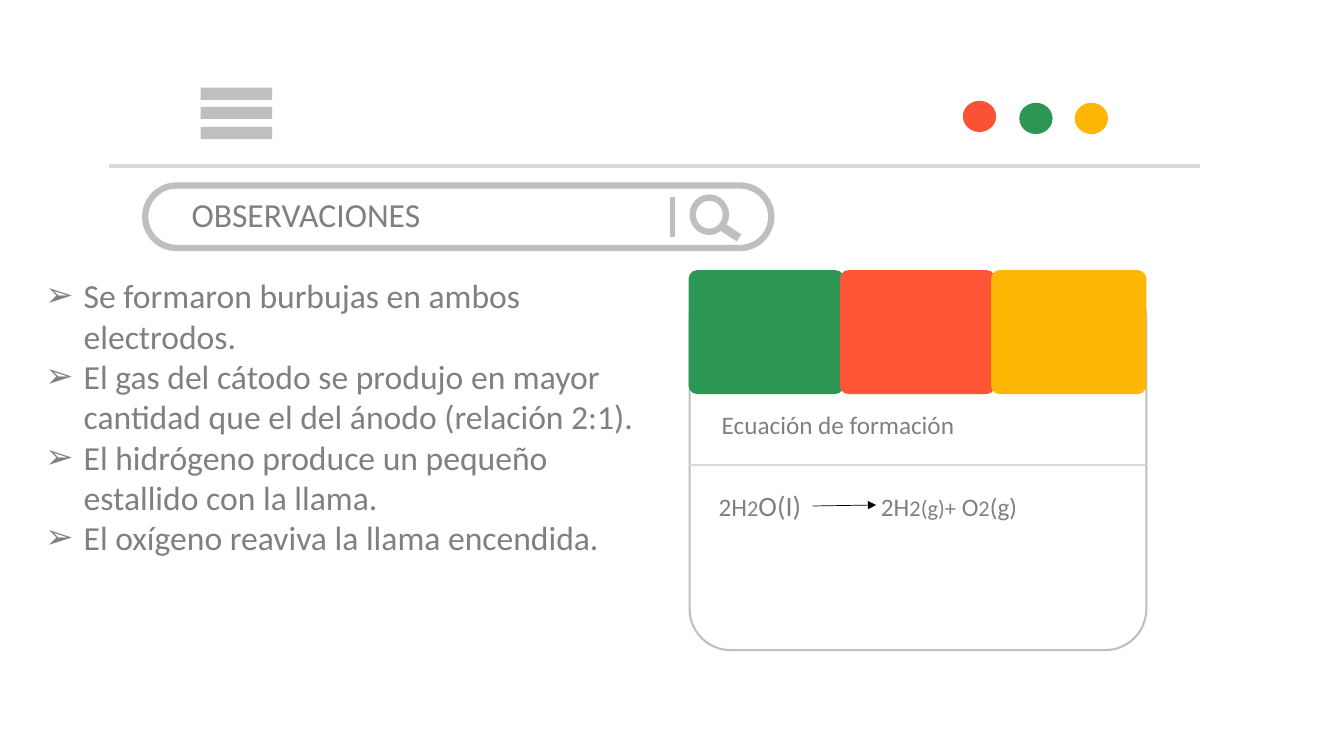
from dataclasses import dataclass
from typing import Optional

import pptx
import pptx.dml.color
import pptx.enum.shapes
import pptx.enum.text
import pptx.oxml
import pptx.oxml.ns
import pptx.util

EMU_PER_PX = 9144
SHAPES = pptx.enum.shapes.MSO_SHAPE


@dataclass(frozen=True)
class Theme:
    font: str = "Calibri"
    text: str = "808080"
    outline: str = "BFBFBF"
    divider: str = "D9D9D9"
    arrow: str = "000000"
    green: str = "2C9754"
    red_dot: str = "FA5235"
    red_tile: str = "FE5536"
    yellow: str = "FEB704"
    heading_size: int = 24
    large_size: int = 20
    label_size: int = 18
    index_size: int = 16


@dataclass(frozen=True)
class Box:
    left: int
    top: int
    width: int
    height: int


@dataclass(frozen=True)
class Figure:
    kind: SHAPES
    box: Box
    fill: Optional[str] = None
    outline: Optional[str] = None
    weight: float = 0
    rounding: Optional[float] = None


@dataclass(frozen=True)
class Stroke:
    start: tuple[int, int]
    end: tuple[int, int]
    color: str
    weight: float
    arrow: bool = False


@dataclass(frozen=True)
class Piece:
    text: str
    size: int


THEME = Theme()

BARS = [Figure(SHAPES.RECTANGLE, Box(199, 87 + 39 * row // 2, 71, 12), THEME.outline)
        for row in range(3)]
DOTS = [Figure(SHAPES.OVAL, Box(left, top, 33, 31), color)
        for left, top, color in ((955, 100, THEME.red_dot),
                                 (1011, 102, THEME.green),
                                 (1066, 102, THEME.yellow))]
SEARCH = [
    Figure(SHAPES.ROUNDED_RECTANGLE, Box(144, 184, 621, 62), None, THEME.outline, 4.5, 0.5),
    Figure(SHAPES.OVAL, Box(687, 196, 33, 34), None, THEME.outline, 4.5),
]
CARD = Figure(SHAPES.ROUNDED_RECTANGLE, Box(684, 275, 453, 370), None, THEME.outline, 1.5, 0.11)
TILES = [Figure(SHAPES.ROUNDED_RECTANGLE, Box(683 + 150 * column, 268, 154, 123), color,
                rounding=0.07)
         for column, color in enumerate((THEME.green, THEME.red_tile, THEME.yellow))]
STROKES = [
    Stroke((108, 165), (1190, 165), THEME.divider, 3),
    Stroke((713, 223), (733, 236), THEME.outline, 6),
    Stroke((667, 195), (667, 235), THEME.outline, 3),
    Stroke((683, 461), (1137, 461), THEME.divider, 1.5),
    Stroke((806, 502), (869, 501), THEME.arrow, 0.5, True),
]
OBSERVATIONS = [
    "Se formaron burbujas en ambos electrodos.",
    "El gas del cátodo se produjo en mayor cantidad que el del ánodo (relación 2:1).",
    "El hidrógeno produce un pequeño estallido con la llama.",
    "El oxígeno reaviva la llama encendida.",
]
EQUATION = [
    Piece("2H", THEME.label_size),
    Piece("2", THEME.index_size),
    Piece("O(I)", THEME.large_size),
    Piece("\t2H", THEME.label_size),
    Piece("2(g)+", THEME.index_size),
    Piece(" O", THEME.label_size),
    Piece("2", THEME.index_size),
    Piece("(g)", THEME.label_size),
]


def px(length: int) -> pptx.util.Emu:
    return pptx.util.Emu(length * EMU_PER_PX)


def rgb(color: str) -> pptx.dml.color.RGBColor:
    return pptx.dml.color.RGBColor.from_string(color)


def xml(tag: str, attributes: str = "", content: str = ""):
    namespace = pptx.oxml.ns.nsdecls("a")
    return pptx.oxml.parse_xml(f"<a:{tag} {namespace} {attributes}>{content}</a:{tag}>")


def draw_figure(slide, figure: Figure) -> None:
    box = figure.box
    shape = slide.shapes.add_shape(figure.kind, px(box.left), px(box.top),
                                   px(box.width), px(box.height))
    shape.shadow.inherit = False
    if figure.rounding is not None:
        shape.adjustments[0] = figure.rounding
    if figure.fill:
        shape.fill.solid()
        shape.fill.fore_color.rgb = rgb(figure.fill)
    else:
        shape.fill.background()
    if figure.outline:
        shape.line.color.rgb = rgb(figure.outline)
        shape.line.width = pptx.util.Pt(figure.weight)
    else:
        shape.line.fill.background()


def draw_stroke(slide, stroke: Stroke) -> None:
    connector = slide.shapes.add_connector(
        pptx.enum.shapes.MSO_CONNECTOR.STRAIGHT,
        *(px(value) for value in stroke.start + stroke.end))
    connector.line.color.rgb = rgb(stroke.color)
    connector.line.width = pptx.util.Pt(stroke.weight)
    properties = connector.element.spPr
    if stroke.arrow:
        line = properties.find(pptx.oxml.ns.qn("a:ln"))
        line.append(xml("tailEnd", 'type="triangle"'))
    properties.append(xml("effectLst"))


def format_run(run, size: int) -> None:
    run.font.name = THEME.font
    run.font.size = pptx.util.Pt(size)
    run.font.color.rgb = rgb(THEME.text)


def format_text(shape, size: int) -> None:
    frame = shape.text_frame
    frame.word_wrap = True
    frame.auto_size = pptx.enum.text.MSO_AUTO_SIZE.NONE
    frame.vertical_anchor = pptx.enum.text.MSO_ANCHOR.TOP
    for paragraph in frame.paragraphs:
        paragraph.alignment = pptx.enum.text.PP_ALIGN.LEFT
        paragraph.space_before = pptx.util.Pt(0)
        for run in paragraph.runs:
            format_run(run, size)


def fill_placeholder(shape, box: Box, text: str) -> None:
    shape.left, shape.top = px(box.left), px(box.top)
    shape.width, shape.height = px(box.width), px(box.height)
    shape.text_frame.text = text
    format_text(shape, THEME.heading_size)


def add_bullets(shape) -> None:
    for paragraph in shape.text_frame.paragraphs:
        properties = paragraph._p.get_or_add_pPr()
        properties.set("marL", str(px(38)))
        properties.set("indent", str(px(-38)))
        properties.append(xml("buChar", 'char="➢"'))


def add_text(slide, box: Box, text: str = ""):
    shape = slide.shapes.add_textbox(px(box.left), px(box.top), px(box.width), px(box.height))
    shape.text_frame.text = text
    format_text(shape, THEME.label_size)
    return shape


def add_equation(slide, box: Box) -> None:
    paragraph = add_text(slide, box).text_frame.paragraphs[0]
    tab = xml("tab", f'pos="{px(161)}" algn="l"')
    tabs = xml("tabLst")
    tabs.append(tab)
    paragraph._p.get_or_add_pPr().append(tabs)
    for piece in EQUATION:
        run = paragraph.add_run()
        run.text = piece.text
        format_run(run, piece.size)


def main() -> None:
    presentation = pptx.Presentation()
    presentation.slide_width, presentation.slide_height = px(1333), px(750)
    slide = presentation.slides.add_slide(presentation.slide_layouts[1])
    fill_placeholder(slide.shapes.title, Box(180, 187, 331, 50), "OBSERVACIONES")
    body = slide.placeholders[1]
    fill_placeholder(body, Box(35, 268, 631, 323), "\n".join(OBSERVATIONS))
    add_bullets(body)
    for figure in BARS + DOTS + SEARCH + [CARD]:
        draw_figure(slide, figure)
    for stroke in STROKES:
        draw_stroke(slide, stroke)
    for tile in TILES:
        draw_figure(slide, tile)
    add_text(slide, Box(706, 401, 481, 40), "Ecuación de formación")
    add_equation(slide, Box(703, 480, 417, 44))
    presentation.save("out.pptx")


if __name__ == "__main__":
    main()
